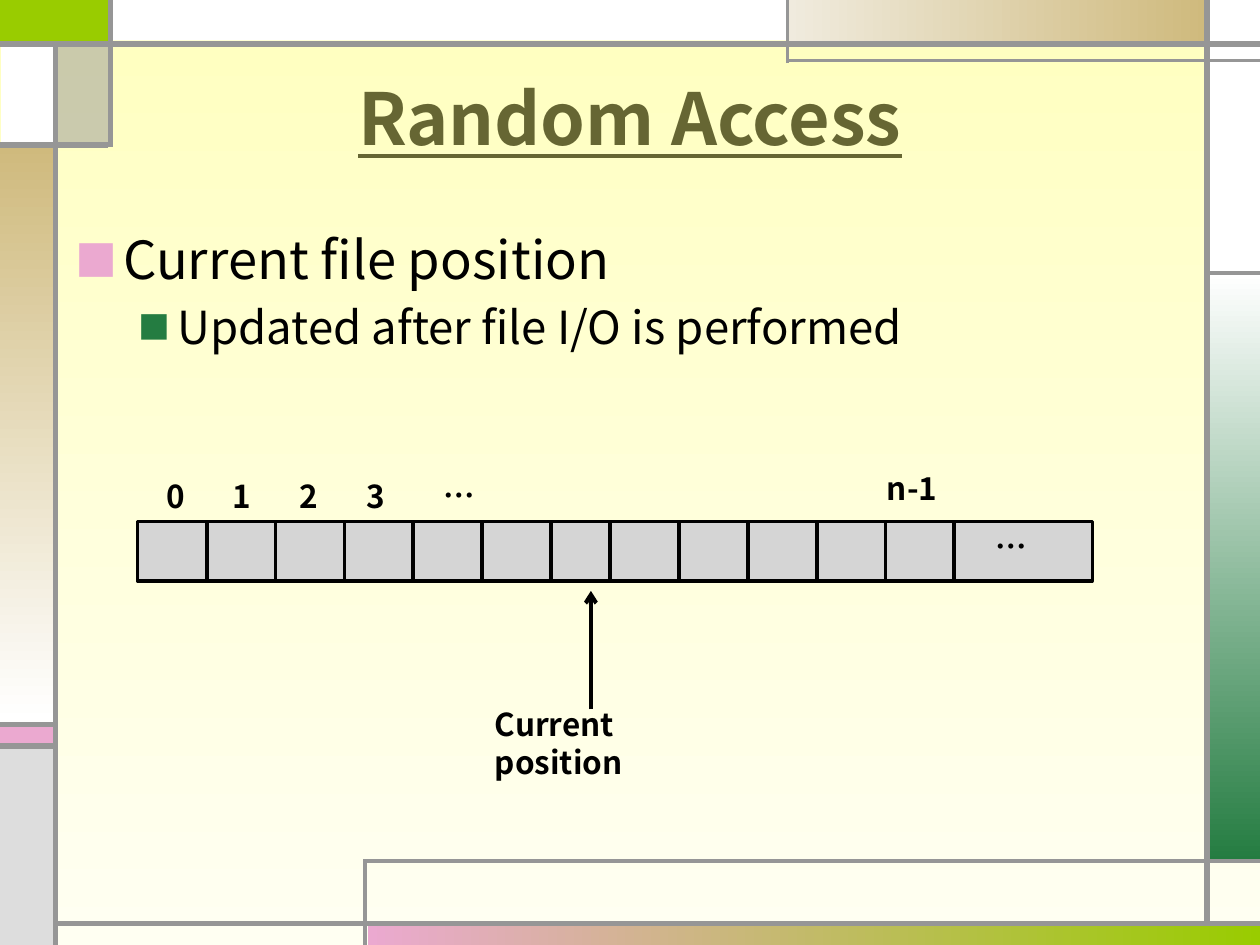
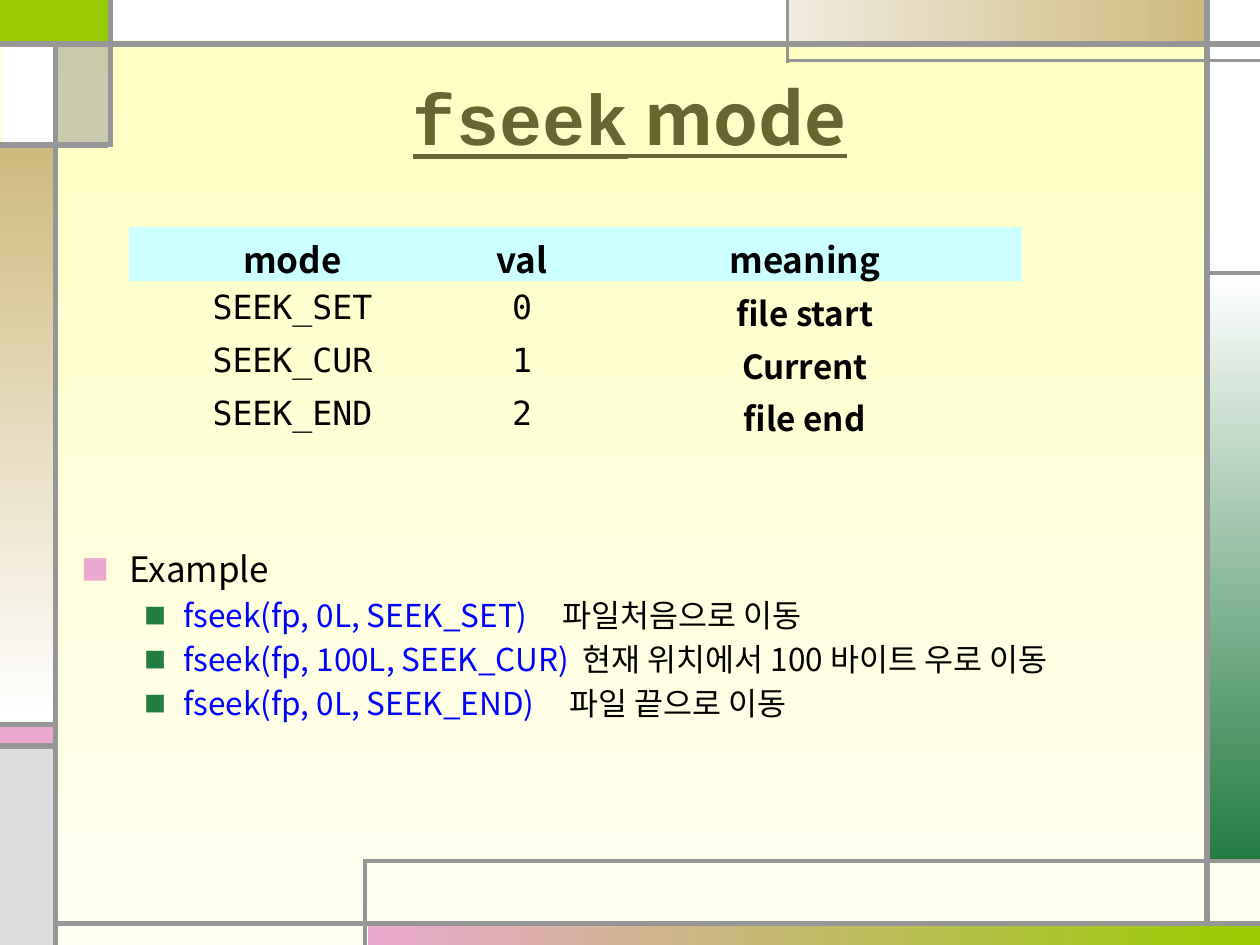
import pptx
import pptx.dml.color
import pptx.enum.shapes
import pptx.enum.text
import pptx.oxml.ns
import pptx.util
from collections import namedtuple
from lxml import etree

# The slide is a grid of 10 columns by 7.5 rows, one inch a cell
COLUMNS, ROWS, CELL = 10, 7.5, 1
Box = namedtuple("Box", "left top width height")
SLIDE = Box(0, 0, COLUMNS, ROWS)

SANS, COURIER, MONO = "Noto Sans CJK KR", "Courier New", "DejaVu Sans Mono"
BLACK, WHITE, BLUE, OLIVE, GRAY = "000000", "FFFFFF", "0000FF", "666633", "969696"
LIME, PINK, GREEN, SAND = "99CC00", "EBA9D0", "247C41", "CFBA7D"
SILVER, CELL_GRAY, HEADER_CYAN = "DDDDDD", "D5D5D5", "CCFFFF"
ACROSS, DOWN = 0, 270  # gradient directions
CENTER = pptx.enum.text.PP_ALIGN.CENTER
MIDDLE = pptx.enum.text.MSO_ANCHOR.MIDDLE
RECTANGLE = pptx.enum.shapes.MSO_SHAPE.RECTANGLE
STRAIGHT = pptx.enum.shapes.MSO_CONNECTOR.STRAIGHT
NO_STYLE_TABLE = "{2D5ABB26-0587-4C30-8999-92F81FD0307C}"

TITLE = dict(size=41, color=OLIVE, bold=True, underline=True)
LABEL = dict(size=18, bold=True)

# Frame rectangles: left, top, width, height, fill
FRAME_PANELS = [
    (0, 0, 0.87, 0.34, LIME),
    (2.92, 7.33, 7.08, 0.17, (PINK, LIME, ACROSS)),
    (9.58, 2.17, 0.42, 4.67, (WHITE, GREEN, DOWN)),
    (0, 5.75, 0.42, 0.17, PINK),
    (0, 5.93, 0.42, 1.57, SILVER),
    (9.58, 0, 0.42, 2.17, WHITE),
    (6.25, 0, 3.33, 0.33, ("F0EBDE", SAND, ACROSS)),
    (0.46, 0.33, 0.42, 0.82, GRAY),
    (0, 1.15, 0.42, 4.58, (SAND, WHITE, DOWN)),
    (0.01, 0.33, 0.42, 0.82, WHITE),
    (0.86, 0, 5.39, 0.32, WHITE),
]
# Frame lines by weight: start x, start y, end x, end y
FRAME_LINES = {
    3: [(0.44, 7.5, 0.44, 0.33), (0.44, 7.33, 10, 7.33), (9.58, 7.33, 9.58, 0),
        (0, 0.35, 10, 0.35), (0.88, 0, 0.88, 1.17), (0.86, 1.15, 0, 1.15),
        (0.46, 5.75, 0, 5.75), (0.46, 5.92, 0, 5.92)],
    2.25: [(10, 0.48, 6.25, 0.48), (6.25, 0.5, 6.25, 0), (9.58, 2.17, 10, 2.17),
           (2.9, 7.5, 2.9, 6.82), (2.89, 6.83, 10, 6.83)],
}
# Bullet levels: indent, hanging, colour, size in percent
BULLETS = [(0.38, 0.38, PINK, 80), (0.81, 0.31, GREEN, 70)]


def rgb(color):
    return pptx.dml.color.RGBColor.from_string(color)


def grid(cells):
    return pptx.util.Inches(cells * CELL)


def inside(box, left, top, width, height):
    return Box(box.left + left, box.top + top, width, height)


def set_values(target, **values):
    for name, value in values.items():
        setattr(target, name, value)


def add_xml(parent, tag, **values):
    return etree.SubElement(parent, pptx.oxml.ns.qn(tag), values)


def find_xml(shape, tag):
    return next(shape.element.iter(pptx.oxml.ns.qn(tag)))


def paint(fill, color):
    """A colour fills evenly; a (start, end, angle) tuple fills as a gradient."""
    if isinstance(color, str):
        fill.solid()
        fill.fore_color.rgb = rgb(color)
        return
    start, end, angle = color
    fill.gradient()
    fill.gradient_angle = angle
    for stop, shade in zip(fill.gradient_stops, (start, end)):
        stop.color.rgb = rgb(shade)


def add_panel(page, box, color, line_weight=None):
    panel = page.shapes.add_shape(RECTANGLE, *map(grid, box))
    panel.shadow.inherit = False
    paint(panel.fill, color)
    if line_weight:
        panel.line.color.rgb = rgb(BLACK)
        panel.line.width = pptx.util.Pt(line_weight)
    else:
        panel.line.fill.background()
    return panel


def add_line(page, ends, weight, color=BLACK, arrow=False):
    line = page.shapes.add_connector(STRAIGHT, *map(grid, ends))
    line.line.color.rgb = rgb(color)
    line.line.width = pptx.util.Pt(weight)
    if arrow:
        add_xml(find_xml(line, "a:ln"), "a:tailEnd", type="arrow")
    add_xml(find_xml(line, "p:spPr"), "a:effectLst")


def add_span(para, text, size, color=BLACK, font=SANS, spacing=0, **formats):
    span = para.add_run()
    span.text = text
    set_values(span.font, name=font, size=pptx.util.Pt(size), **formats)
    span.font.color.rgb = rgb(color)
    properties = span._r.get_or_add_rPr()
    add_xml(properties, "a:ea", typeface=font)
    if spacing:
        properties.set("spc", str(spacing * 100))


def add_text(page, box, wrap=True, **formats):
    frame = page.shapes.add_textbox(*map(grid, box)).text_frame
    set_values(frame, word_wrap=wrap, **formats)
    return frame


def add_label(page, box, text, wrap=False):
    frame = add_text(page, box, wrap)
    add_span(frame.paragraphs[0], text, **LABEL)


def add_title(page, box, spans):
    para = add_text(page, box, vertical_anchor=MIDDLE).paragraphs[0]
    para.alignment = CENTER
    for text, font in spans:
        add_span(para, text, font=font, **TITLE)


def add_bullets(page, box, items):
    """Each item is a level and the list of its spans."""
    frame = add_text(page, box)
    for number, (level, spans) in enumerate(items):
        para = frame.add_paragraph() if number else frame.paragraphs[0]
        indent, hanging, color, percent = BULLETS[level]
        properties = para._p.get_or_add_pPr()
        for name, value in dict(marL=indent, indent=-hanging, lvl=None).items():
            properties.set(name, str(level if value is None else int(grid(value))))
        add_xml(add_xml(properties, "a:spcBef"), "a:spcPct", val="20000")
        add_xml(add_xml(properties, "a:buClr"), "a:srgbClr", val=color)
        add_xml(properties, "a:buSzPct", val=str(percent * 1000))
        add_xml(properties, "a:buFont", typeface=SANS)
        add_xml(properties, "a:buChar", char="■")
        for span in spans:
            add_span(para, **span)


def add_frame(page, box):
    paint(page.background.fill, ("FFFFBF", "FFFFF2", DOWN))
    for *place, color in FRAME_PANELS:
        panel = add_panel(page, inside(box, *place), color)
        if color == GRAY:  # the see-through corner
            add_xml(find_xml(panel, "a:srgbClr"), "a:alpha", val="50000")
    for weight, lines in FRAME_LINES.items():
        for ends in lines:
            add_line(page, ends, weight, GRAY)


def add_page(deck, title):
    page = deck.slides.add_slide(deck.slide_layouts[6])
    add_frame(page, SLIDE)
    add_title(page, Box(0.5, 0.3, 9, 1.25), title)
    return page


def add_file_strip(page, box):
    """A row of bytes with index labels above and the position arrow below."""
    add_panel(page, box, CELL_GRAY, line_weight=2)
    step, bottom = 0.547, box.top + box.height
    for first in (0.55, 3.75):  # dividers before and after the narrow byte
        for number in range(6):
            x = box.left + first + number * step
            add_line(page, (x, box.top, x, bottom), 2.25)

    # Index labels
    for number in range(4):
        add_label(page, inside(box, 0.13 + 0.53 * number, -0.4, 0.34, 0.4), str(number))
    for text, left, top, width in [("…", 2.33, -0.41, 0.45), ("n-1", 5.85, -0.47, 0.64),
                                   ("…", 6.71, -0.01, 0.45)]:
        add_label(page, inside(box, left, top, width, 0.4), text)

    # Current position
    arrow = box.left + 3.6
    add_line(page, (arrow, bottom + 1.02, arrow, bottom + 0.08), 2.25, arrow=True)
    add_label(page, inside(box, 2.74, 1.41, 1.4, 0.7), "Current position", wrap=True)


def add_mode_table(page, box, rows):
    shape = page.shapes.add_table(len(rows), len(rows[0]), *map(grid, box))
    table = shape.table
    set_values(table, first_row=False, horz_banding=False)
    find_xml(shape, "a:tableStyleId").text = NO_STYLE_TABLE
    for column, share in zip(table.columns, (0.367, 0.147, 0.486)):
        column.width = grid(box.width * share)
    for y, texts in enumerate(rows):
        for x, text in enumerate(texts):
            cell = table.cell(y, x)
            cell.vertical_anchor = MIDDLE
            para = cell.text_frame.paragraphs[0]
            para.alignment = CENTER
            if y == 0:
                paint(cell.fill, HEADER_CYAN)
            else:
                cell.fill.background()
            code = y > 0 and x < 2
            add_span(para, text, 19 if y else 20, font=MONO if code else SANS, bold=not code)


def random_access_page(deck):
    page = add_page(deck, [("Random Access", SANS)])
    add_bullets(page, Box(0.5, 1.75, 9, 4.95), [
        (0, [dict(text="Current file position", size=30)]),
        (1, [dict(text="Updated after file I/O is performed", size=26)]),
    ])
    add_file_strip(page, Box(1.09, 4.14, 7.58, 0.47))


def fseek_page(deck):
    page = add_page(deck, [("fseek", COURIER), (" mode", SANS)])
    examples = [  # call, extra gap in points, explanation
        ("fseek(fp, 0L, SEEK_SET)", 16, "파일처음으로 이동"),
        ("fseek(fp, 100L, SEEK_CUR)", 4, "현재 위치에서 100 바이트 우로 이동"),
        ("fseek(fp, 0L, SEEK_END)", 16, "파일 끝으로 이동"),
    ]
    add_bullets(page, Box(0.55, 4.3, 9, 2.5), [(0, [dict(text="Example", size=20)])] + [
        (1, [dict(text=call, size=18, color=BLUE),
             dict(text=" ", size=18, spacing=gap),
             dict(text=meaning, size=18)])
        for call, gap, meaning in examples
    ])
    add_mode_table(page, Box(1.02, 1.8, 7.09, 1.68), [
        ("mode", "val", "meaning"),
        ("SEEK_SET", "0", "file start"),
        ("SEEK_CUR", "1", "Current"),
        ("SEEK_END", "2", "file end"),
    ])


def main():
    deck = pptx.Presentation()
    set_values(deck, slide_width=grid(COLUMNS), slide_height=grid(ROWS))
    random_access_page(deck)
    fseek_page(deck)
    deck.save("out.pptx")


if __name__ == "__main__":
    main()
